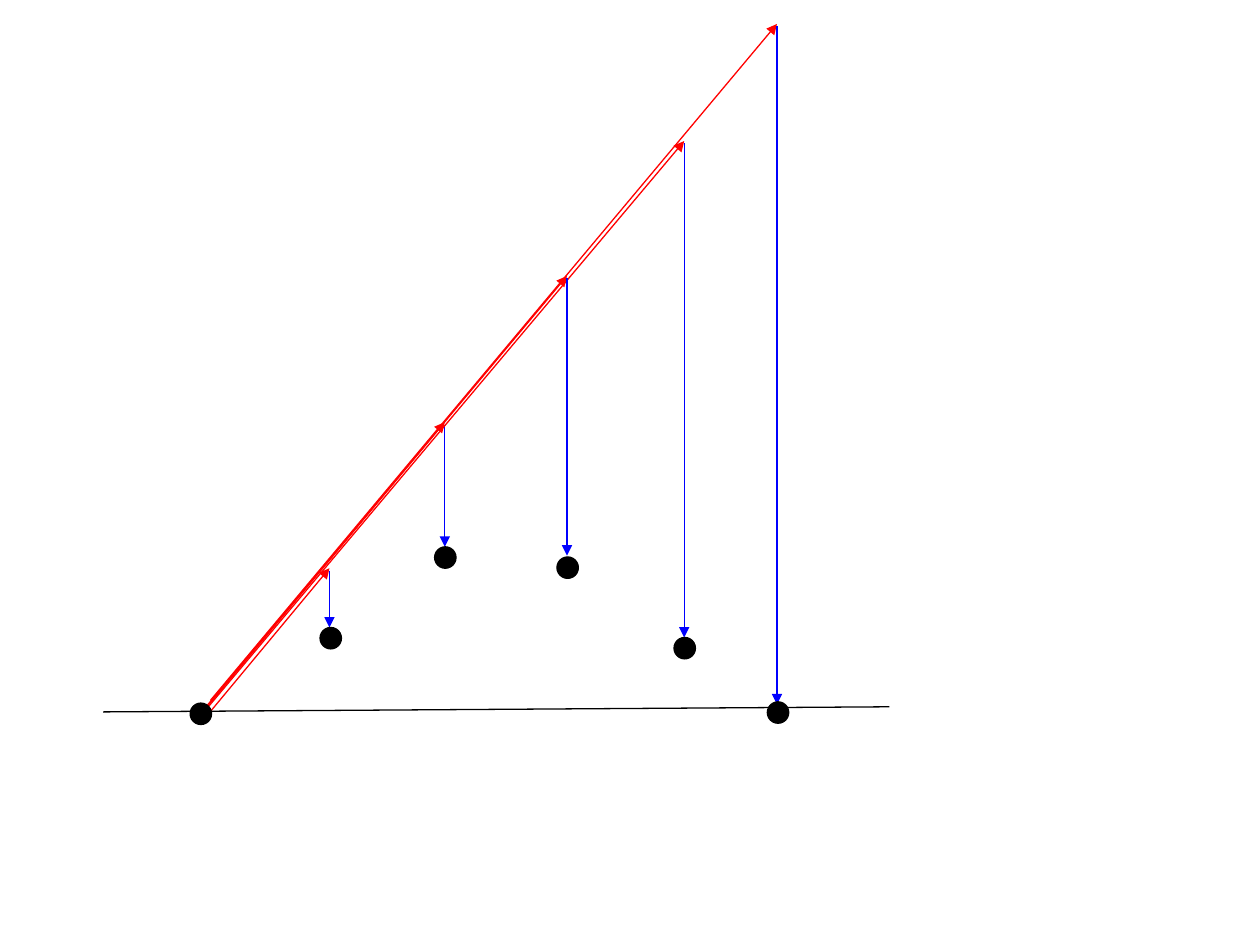
import pptx
import pptx.util
import pptx.dml.color
import pptx.enum.shapes
import pptx.oxml.ns
import lxml.etree

Pt = pptx.util.Pt
RED = pptx.dml.color.RGBColor(0xFF, 0, 0)
BLUE = pptx.dml.color.RGBColor(0, 0, 0xFF)
BLACK = pptx.dml.color.RGBColor(0, 0, 0)

WIDTH = 0.75
SIZE = 12.24
ORIGIN = (114.8, 407.9)

# Tip of the red ray, its foot, the end of the blue drop, the centre of the dot
STEPS = [
    ((254.2, 241.2), (115.9, 406.8), 312.5, (254.5, 318.6)),
    ((391, 80.6), (113, 411.1), 364.3, (391.3, 370.4)),
    ((324, 157.7), (115.9, 406.1), 317.5, (324.4, 324.4)),
    ((188.3, 324.7), (119.5, 407.5), 358.6, (189, 364.7)),
    ((444, 13.7), (120.2, 400.3), 402.5, (444.6, 407.2)),
]


def add_line(slide, start, end, color, arrow=None):
    """Draw a line; arrow is None, 'headEnd' (at start) or 'tailEnd'."""
    kind = pptx.enum.shapes.MSO_CONNECTOR.STRAIGHT
    line = slide.shapes.add_connector(kind, *(Pt(v) for v in start + end))
    line.line.color.rgb = color
    line.line.width = Pt(WIDTH)
    qn = pptx.oxml.ns.qn
    props = line._element.spPr
    if arrow:
        lxml.etree.SubElement(props.find(qn("a:ln")), qn("a:" + arrow),
                              type="triangle")
    lxml.etree.SubElement(props, qn("a:effectLst"))


def add_dot(slide, centre):
    """Draw a black dot around its centre."""
    left, top = (Pt(v - SIZE / 2) for v in centre)
    kind = pptx.enum.shapes.MSO_SHAPE.OVAL
    dot = slide.shapes.add_shape(kind, left, top, Pt(SIZE), Pt(SIZE))
    dot.shadow.inherit = False
    dot.fill.solid()
    dot.fill.fore_color.rgb = BLACK
    dot.line.color.rgb = BLACK
    dot.line.width = Pt(WIDTH)


def main():
    """Build the slide of rays, drops and dots."""
    deck = pptx.Presentation()
    deck.slide_width, deck.slide_height = Pt(720), Pt(540)
    slide = deck.slides.add_slide(deck.slide_layouts[6])
    add_line(slide, (59, 406.8), (508.3, 403.9), BLACK)
    for tip, foot, drop, _ in STEPS:
        add_line(slide, tip, foot, RED, "headEnd")
        add_line(slide, (tip[0], tip[1] + 1.4), (tip[0], drop), BLUE, "tailEnd")
    for centre in [ORIGIN] + [step[-1] for step in STEPS]:
        add_dot(slide, centre)
    deck.save("out.pptx")


main()
